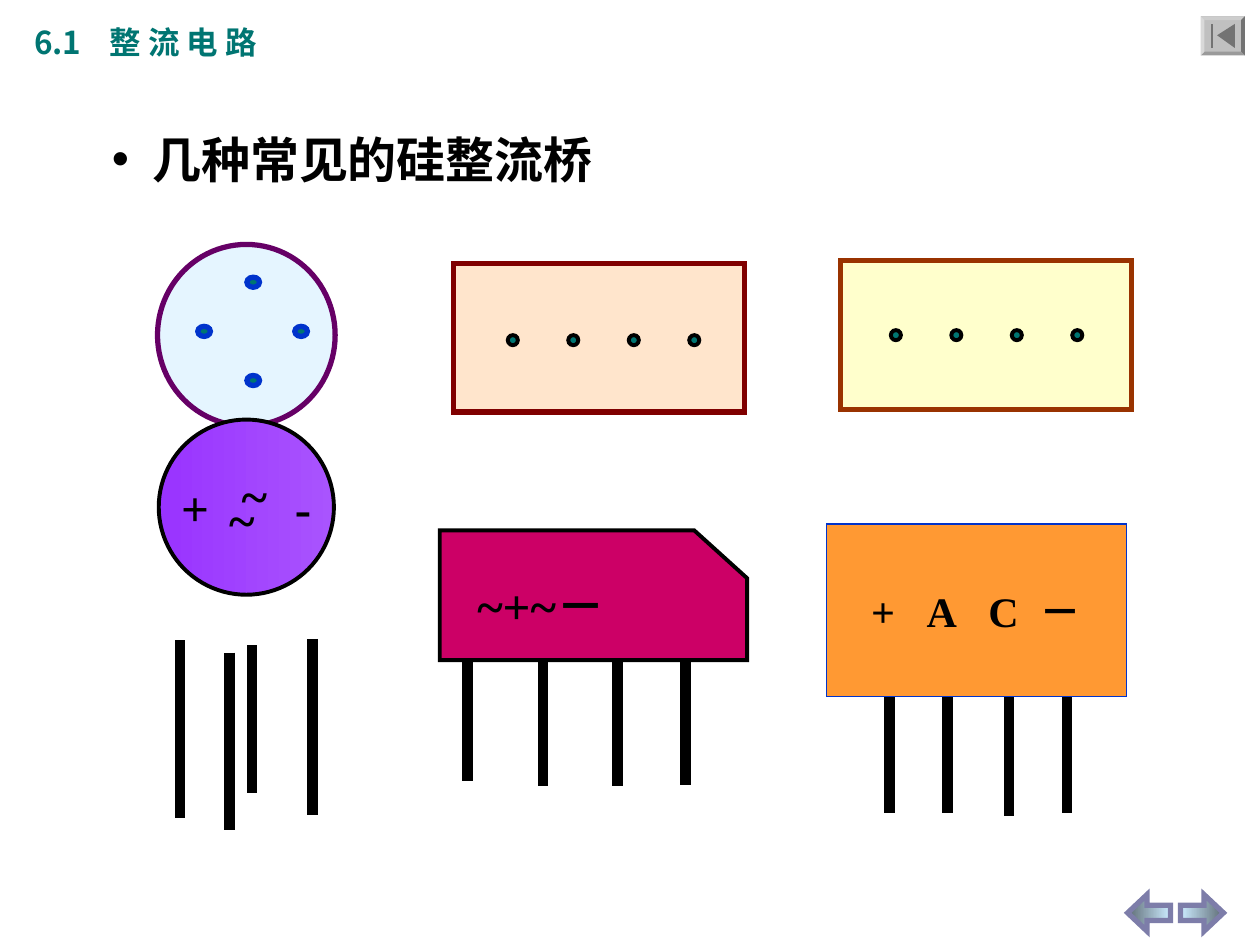
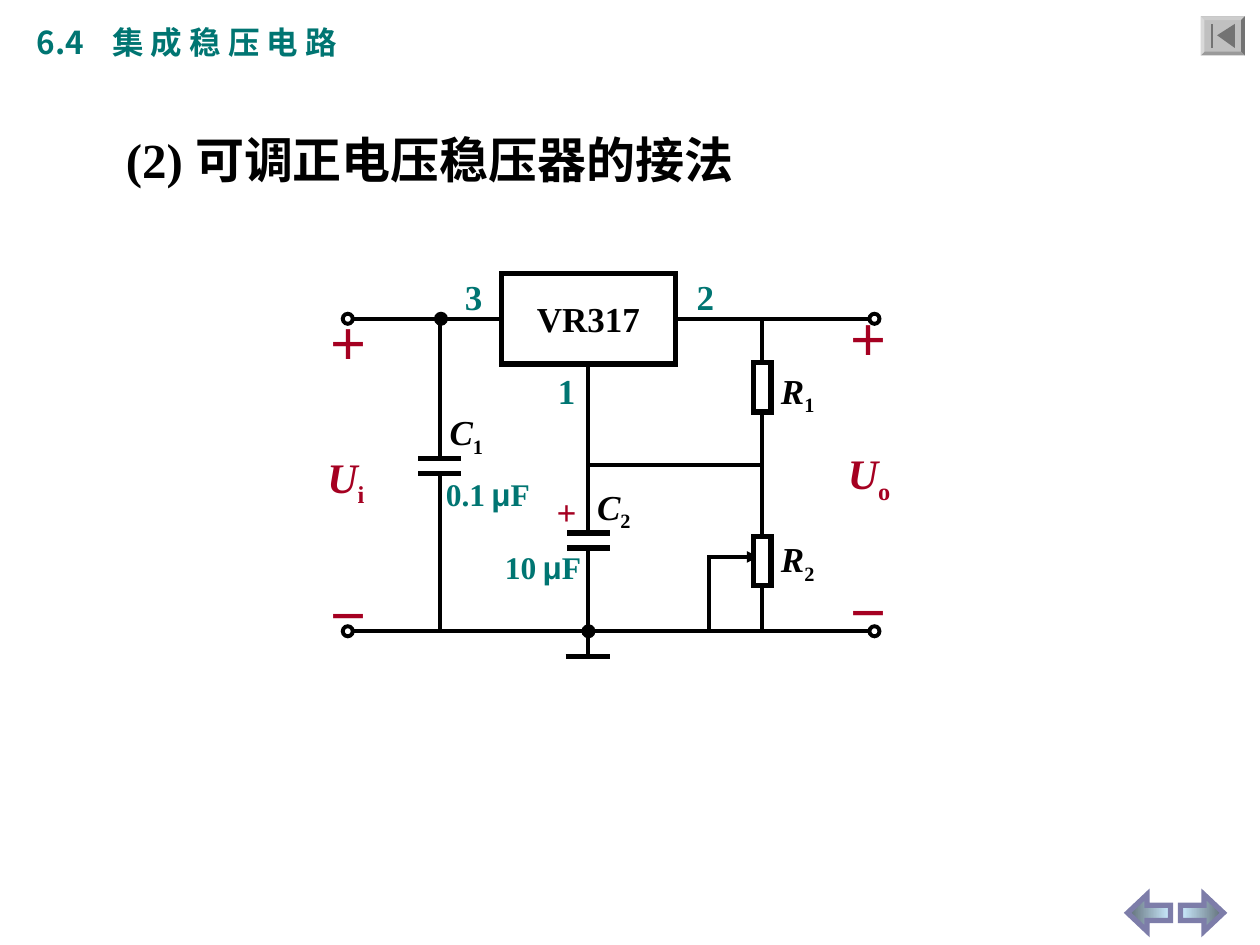
"""Builds two slides on silicon rectifier bridges and an adjustable voltage regulator."""
from lxml.etree import SubElement
from pptx import Presentation
from pptx.dml.color import RGBColor
from pptx.enum.shapes import MSO_CONNECTOR, MSO_SHAPE
from pptx.enum.text import MSO_ANCHOR, MSO_AUTO_SIZE, PP_ALIGN
from pptx.oxml.ns import qn
from pptx.util import Inches, Pt

COLORS = {
    "black": "000000", "white": "FFFFFF", "teal": "007572", "red": "A50021",
    "blue": "0033CC", "sky": "E5F5FF", "plum": "660066",
    "violet": "9933FF", "lilac": "A954FE", "peach": "FFE5CC", "maroon": "800000",
    "cream": "FFFFCC", "brown": "993300", "orange": "FF9933", "magenta": "CC0066",
    "slate": "5E6C75", "ice": "CCECFF", "lavender": "7D7DA9",
    "face": "C0C0C0", "light": "CDCDCD", "lighter": "D9D9D9",
    "shade": "9A9A9A", "dark": "737373",
}
LATIN, CJK = "Times New Roman", "Noto Sans CJK SC"
PLAIN = {"italic": False, "baseline": -25000}


def rgb(name):
    return RGBColor.from_string(COLORS[name])


def add_run(p, text, size, color, font=LATIN, italic=False, baseline=0, spacing=0):
    r = p.add_run()
    r.text = text
    r.font.size = Pt(size)
    r.font.bold = True
    r.font.italic = italic
    r.font.color.rgb = rgb(color)
    r.font.name = font
    rPr = r.font._element
    SubElement(rPr, qn("a:ea")).set("typeface", CJK)
    if baseline:
        rPr.set("baseline", str(baseline))
    if spacing:
        rPr.set("spc", str(spacing * 100))


def add_spaced_runs(p, words, gaps, size, color, font=LATIN):
    add_run(p, words[0], size, color, font)
    for word, gap in zip(words[1:], gaps):
        add_run(p, " ", size, color, font, spacing=gap)
        add_run(p, word, size, color, font)


def set_indent(p, left, hanging=0, bullet=None):
    pPr = p._p.get_or_add_pPr()
    pPr.set("marL", str(Inches(left)))
    pPr.set("indent", str(-Inches(hanging)))
    if bullet:
        SubElement(pPr, qn("a:buFont")).set("typeface", "Arial")
        SubElement(pPr, qn("a:buChar")).set("char", bullet)


def add_text(slide, box, runs, size, color, wrap=False):
    tf = slide.shapes.add_textbox(*map(Inches, box)).text_frame
    tf.word_wrap = wrap
    for text, style in runs:
        add_run(tf.paragraphs[0], text, size, color, **style)
    return tf


def add_symbol(slide, x, y, letter, index):
    runs = [(letter, {"italic": True}), (index, PLAIN)]
    add_text(slide, (x, y, 0.6, 0.48), runs, 20, "black", True)


def paint(sp, fill=None, line=None, width=0):
    sp.shadow.inherit = False
    if fill is None:
        sp.fill.background()
    elif isinstance(fill, tuple):
        start, end, angle = fill
        sp.fill.gradient()
        sp.fill.gradient_angle = angle
        for stop, name in zip(sp.fill.gradient_stops, (start, end)):
            stop.color.rgb = rgb(name)
    else:
        sp.fill.solid()
        sp.fill.fore_color.rgb = rgb(fill)
    if line is None:
        sp.line.fill.background()
    else:
        sp.line.color.rgb = rgb(line)
        sp.line.width = Pt(width)
        SubElement(sp.line._get_or_add_ln(), qn("a:miter")).set("lim", "800000")
    return sp


def add_preset(slide, kind, box, fill, line, width):
    sp = slide.shapes.add_shape(kind, *map(Inches, box))
    return paint(sp, fill, line, width)


def add_dot(slide, x, y, fill, line="black", width=2.25, size=(0.08, 0.08)):
    add_preset(slide, MSO_SHAPE.OVAL, (x, y, *size), fill, line, width)


def add_outline(slide, points, close=True, **style):
    pts = [(Inches(x), Inches(y)) for x, y in points]
    builder = slide.shapes.build_freeform(*pts[0])
    builder.add_line_segments(pts[1:], close=close)
    return paint(builder.convert_to_shape(), **style)


def add_wire(slide, x1, y1, x2, y2, width=2.25, start=None, end=None):
    cn = slide.shapes.add_connector(
        MSO_CONNECTOR.STRAIGHT, *map(Inches, (x1, y1, x2, y2)))
    cn.line.color.rgb = rgb("black")
    cn.line.width = Pt(width)
    SubElement(cn._element.spPr, qn("a:effectLst"))
    if start:
        cn.begin_connect(*start)
    if end:
        cn.end_connect(*end)


def add_pins(slide, pins):
    for x, top, bottom in pins:
        add_wire(slide, x, top, x, bottom, 6)


def add_return_button(slide):
    left, top, right, bottom, edge = 9.53, 0.13, 9.88, 0.44, 0.03
    outer = [(left, top), (right, top), (right, bottom), (left, bottom)]
    inner = [(left + edge, top + edge), (right - edge, top + edge),
             (right - edge, bottom - edge), (left + edge, bottom - edge)]
    add_outline(slide, outer, fill="face")
    for i, shade in enumerate(("light", "dark", "shade", "lighter")):
        j = (i + 1) % 4
        add_outline(slide, [outer[i], outer[j], inner[j], inner[i]], fill=shade)
    add_outline(slide, [(9.66, 0.28), (9.8, 0.19), (9.8, 0.38)], fill="dark")
    add_outline(slide, [(9.61, 0.19), (9.63, 0.19), (9.63, 0.38), (9.61, 0.38)],
                fill="dark")


def add_page_arrows(slide):
    for kind, x, angle in ((MSO_SHAPE.RIGHT_ARROW, 9.37, 180),
                           (MSO_SHAPE.LEFT_ARROW, 8.95, 0)):
        sp = add_preset(slide, kind, (x, 7.1, 0.34, 0.29),
                        ("slate", "ice", angle), "lavender", 3)
        sp.adjustments[0], sp.adjustments[1] = 0.42, 0.53


def new_slide(prs, number, section, left, width):
    slide = prs.slides.add_slide(prs.slide_layouts[5])
    title = slide.shapes.title
    title.left, title.top, title.width, title.height = map(
        Inches, (left, 0.13, width, 0.4))
    tf = title.text_frame
    tf.auto_size = MSO_AUTO_SIZE.NONE
    tf.vertical_anchor = MSO_ANCHOR.TOP
    p = tf.paragraphs[0]
    p.alignment = PP_ALIGN.LEFT
    add_spaced_runs(p, (number, section), (12,), 18, "teal", CJK)
    add_return_button(slide)
    add_page_arrows(slide)
    return slide


def add_heading(slide, left, width, text):
    return add_text(slide, (left, 0.98, width, 0.57), [(text, {})], 28, "black", True)


def add_round_bridge(slide):
    add_pins(slide, [(2.48, 5.07, 6.47), (2, 5.12, 6.29),
                     (1.43, 5.08, 6.49), (1.82, 5.18, 6.59)])
    add_preset(slide, MSO_SHAPE.OVAL, (1.25, 1.94, 1.41, 1.44), "sky", "plum", 3)
    for x, y in ((1.96, 2.2), (2.34, 2.59), (1.57, 2.59), (1.96, 2.98)):
        add_dot(slide, x, y, "teal", "blue", 3, (0.1, 0.08))
    add_preset(slide, MSO_SHAPE.OVAL, (1.26, 3.33, 1.39, 1.39),
               ("lilac", "violet", 180), "black", 2.25)
    tf = add_text(slide, (1.34, 3.96, 1.4, 0.38), [], 28, "black", True)
    tf.vertical_anchor = MSO_ANCHOR.MIDDLE
    for i, (marks, left) in enumerate((("~", 0.48), ("+-", 0), ("~", 0.38))):
        p = tf.add_paragraph() if i else tf.paragraphs[0]
        set_indent(p, left)
        p.line_spacing = 0.2
        add_spaced_runs(p, marks, (42,), 28, "black")


def add_base_view(slide, left, top, fill, line, dot_left, dot_top):
    add_preset(slide, MSO_SHAPE.RECTANGLE, (left, top, 2.31, 1.18), fill, line, 3)
    for i in range(4):
        add_dot(slide, dot_left + 0.48 * i, dot_top, "teal")


def add_notched_bridge(slide):
    add_pins(slide, [(3.71, 4.78, 6.2), (4.31, 4.82, 6.24),
                     (4.9, 4.81, 6.24), (5.44, 4.81, 6.23)])
    add_base_view(slide, 3.6, 2.09, "peach", "maroon", 4.03, 2.66)
    body = [(3.49, 4.21), (3.49, 5.24), (5.93, 5.24), (5.93, 4.59), (5.51, 4.21)]
    add_outline(slide, body, fill="magenta", line="black", width=2.25)
    tf = add_text(slide, (3.69, 4.52, 2.11, 0.57), [("~+~－", {})], 28, "black", True)
    tf.vertical_anchor = MSO_ANCHOR.MIDDLE


def add_square_bridge(slide):
    add_pins(slide, [(7.06, 5.47, 6.45), (7.52, 5.47, 6.45),
                     (8.01, 5.5, 6.48), (8.47, 5.47, 6.45)])
    body = add_preset(slide, MSO_SHAPE.RECTANGLE, (6.56, 4.16, 2.38, 1.37),
                      "orange", "blue", 0.75)
    tf = body.text_frame
    tf.word_wrap = True
    tf.vertical_anchor = MSO_ANCHOR.MIDDLE
    p = tf.paragraphs[0]
    p.alignment = PP_ALIGN.CENTER
    add_spaced_runs(p, "+AC－", (12, 12, 6), 24, "black")
    add_base_view(slide, 6.67, 2.07, "cream", "brown", 7.07, 2.62)


def add_capacitor(slide, x, y, top, bottom, start=None):
    for plate in (y, y + 0.12):
        add_wire(slide, x - 0.17, plate, x + 0.17, plate, 3)
    add_wire(slide, x, top, x, y, start=start)
    add_wire(slide, x, y + 0.12, x, bottom)


def add_voltage(slide, box, index):
    tf = add_text(slide, box, [("＋", {})], 24, "red")
    for runs in ([("U", {"italic": True}), (index, PLAIN)], [("－", {})]):
        p = tf.add_paragraph()
        p.space_before = Pt(47)
        for text, style in runs:
            add_run(p, text, 24, "red", **style)


def add_capacitance(slide, box, value):
    tf = add_text(slide, box, [(value, {})], 18, "teal")
    p = tf.paragraphs[0]
    add_run(p, " ", 14, "teal")
    add_run(p, "μ", 18, "teal", "Arial")
    add_run(p, "F", 18, "teal")


def add_regulator_circuit(slide):
    rail, ground, mid, load = 2.53, 5.01, 4.67, 6.05
    rect = MSO_SHAPE.RECTANGLE
    ic = add_preset(slide, rect, (3.98, 2.17, 1.38, 0.72), "white", "black", 3)
    tf = ic.text_frame
    tf.word_wrap = False
    tf.vertical_anchor = MSO_ANCHOR.MIDDLE
    tf.paragraphs[0].alignment = PP_ALIGN.CENTER
    add_run(tf.paragraphs[0], "VR317", 20, "black")

    add_wire(slide, 2.8, rail, 3.98, rail, end=(ic, 1))
    add_wire(slide, 5.36, rail, 6.9, rail, start=(ic, 3))
    add_wire(slide, 2.8, ground, 6.9, ground)
    add_wire(slide, mid, 3.69, load, 3.69)
    add_wire(slide, 4.49, 5.21, 4.84, 5.21, 3)
    add_capacitor(slide, 3.49, 3.64, rail, ground)
    add_capacitor(slide, mid, 4.23, 2.89, 5.21, start=(ic, 2))

    wiper = add_outline(slide, [(6.02, 4.42), (5.63, 4.42), (5.63, ground)],
                        close=False, line="black", width=2.25)
    SubElement(wiper.line._get_or_add_ln(), qn("a:headEnd")).set("type", "triangle")
    r1, r2 = (add_preset(slide, rect, (load - 0.07, y, 0.14, 0.39),
                         "white", "black", 3) for y in (2.88, 4.26))
    add_wire(slide, load, rail, load, 2.88, end=(r1, 0))
    add_wire(slide, load, 3.27, load, 4.26, start=(r1, 2), end=(r2, 0))
    add_wire(slide, load, 4.65, load, ground, start=(r2, 2))

    for x in (2.72, 6.9):
        for y in (rail, ground):
            add_dot(slide, x, y - 0.04, "white")
    add_dot(slide, 3.46, rail - 0.04, "black")
    add_dot(slide, mid - 0.04, ground - 0.04, "black")

    for x, y, pin in ((4.33, 2.88, "1"), (5.43, 2.14, "2"), (3.59, 2.14, "3")):
        add_text(slide, (x, y, 0.41, 0.44), [(pin, {})], 20, "teal")
    for x, y, letter, index in ((3.47, 3.21, "C", "1"), (4.64, 3.8, "C", "2"),
                                (6.1, 2.88, "R", "1"), (6.1, 4.22, "R", "2")):
        add_symbol(slide, x, y, letter, index)
    add_text(slide, (4.32, 3.84, 0.43, 0.44), [("+", {})], 20, "red")
    add_capacitance(slide, (3.44, 3.72, 0.92, 0.4), "0.1")
    add_capacitance(slide, (3.91, 4.3, 0.86, 0.4), "10")
    add_voltage(slide, (2.5, 2.48, 0.54, 2.66), "i")
    add_voltage(slide, (6.63, 2.45, 0.58, 2.66), "o")


def main():
    prs = Presentation()
    prs.slide_width, prs.slide_height = Inches(10), Inches(7.5)

    slide = new_slide(prs, "6.1", "整 流 电 路", 0.17, 2.2)
    tf = add_heading(slide, 0.79, 6.06, "几种常见的硅整流桥")
    set_indent(tf.paragraphs[0], 0.32, 0.32, "•")
    add_square_bridge(slide)
    add_notched_bridge(slide)
    add_round_bridge(slide)

    slide = new_slide(prs, "6.4", "集 成 稳 压 电 路", 0.19, 2.81)
    add_heading(slide, 0.9, 7.18, "(2) 可调正电压稳压器的接法")
    add_regulator_circuit(slide)

    prs.save("out.pptx")


if __name__ == "__main__":
    main()
